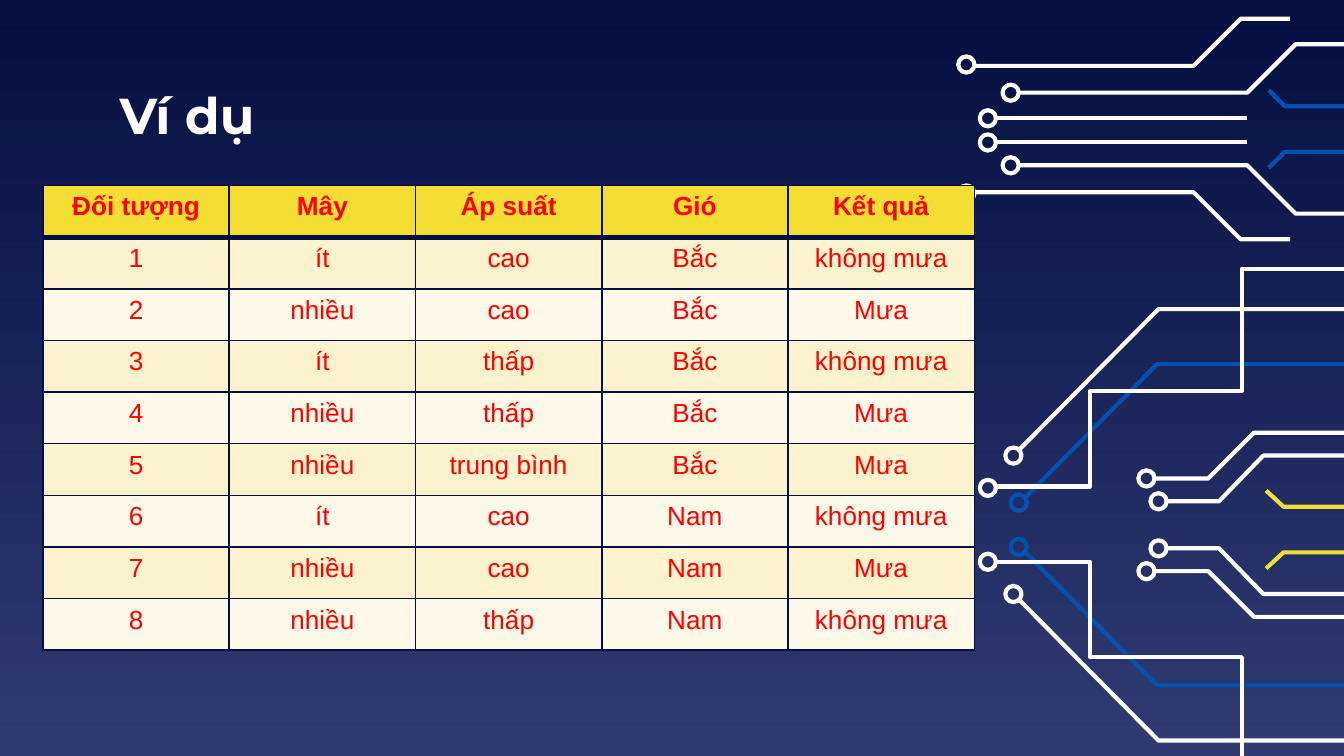
from lxml.etree import SubElement
from pptx import Presentation
from pptx.dml.color import RGBColor
from pptx.enum.shapes import MSO_SHAPE
from pptx.enum.text import MSO_ANCHOR, MSO_AUTO_SIZE, PP_ALIGN
from pptx.oxml.ns import qn
from pptx.util import Inches, Pt

NAVY = RGBColor(0x04, 0x0E, 0x41)
INDIGO = RGBColor(0x30, 0x3B, 0x72)
WHITE = RGBColor(0xFF, 0xFF, 0xFF)
BLUE = RGBColor(0x01, 0x52, 0xB1)
YELLOW = RGBColor(0xF5, 0xDE, 0x34)
CREAM = RGBColor(0xFB, 0xF2, 0xCE)
IVORY = RGBColor(0xFD, 0xF9, 0xE8)
RED = RGBColor(0xFF, 0x00, 0x00)

WIDTH = 10
HEIGHT = WIDTH * 9 / 16
RING = 0.12

# Each trace is drawn twice; its mirror has y = mirror sum - y
TOP, BOTTOM, ACCENT = 1.92, 7.81, 7.88
# Mirror sum, colour, ring centre, points
TRACES = [
    (TOP, WHITE, (7.19, 0.48), [(7.25, 0.49), (8.88, 0.49), (9.23, 0.14), (9.6, 0.14)]),
    (TOP, WHITE, (7.52, 0.69), [(7.58, 0.69), (9.28, 0.69), (9.64, 0.33), (WIDTH, 0.33)]),
    (TOP + 0.02, WHITE, (7.35, 0.88), [(7.41, 0.88), (9.28, 0.88)]),
    (TOP, BLUE, None, [(9.44, 0.67), (9.56, 0.79), (WIDTH, 0.79)]),
    (BOTTOM, BLUE, (7.58, 3.74), [(7.62, 3.71), (8.61, 2.71), (WIDTH, 2.71)]),
    (BOTTOM, WHITE, (7.54, 3.39), [(7.58, 3.35), (8.62, 2.3), (WIDTH, 2.3)]),
    (BOTTOM, WHITE, (8.53, 3.56), [(8.59, 3.56), (8.99, 3.56), (9.33, 3.22), (WIDTH, 3.22)]),
    (BOTTOM, WHITE, (8.62, 3.73), [(8.68, 3.73), (9.07, 3.73), (9.4, 3.39), (WIDTH, 3.39)]),
    (ACCENT, YELLOW, None, [(9.42, 3.65), (9.55, 3.77), (WIDTH, 3.77)]),
]
# The stepped traces leave the slide at different edges
STEPS = [
    ((7.35, 3.63), [(7.41, 3.62), (8.11, 3.62), (8.11, 2.91), (9.24, 2.91), (9.24, 2), (WIDTH, 2)]),
    ((7.35, 4.18), [(7.41, 4.18), (8.11, 4.18), (8.11, 4.89), (9.24, 4.89), (9.24, HEIGHT)]),
]

ROWS = [
    ("Đối tượng", "Mây", "Áp suất", "Gió", "Kết quả"),
    ("1", "ít", "cao", "Bắc", "không mưa"),
    ("2", "nhiều", "cao", "Bắc", "Mưa"),
    ("3", "ít", "thấp", "Bắc", "không mưa"),
    ("4", "nhiều", "thấp", "Bắc", "Mưa"),
    ("5", "nhiều", "trung bình", "Bắc", "Mưa"),
    ("6", "ít", "cao", "Nam", "không mưa"),
    ("7", "nhiều", "cao", "Nam", "Mưa"),
    ("8", "nhiều", "thấp", "Nam", "không mưa"),
]


def set_background(s):
    fill = s.background.fill
    fill.gradient()
    fill.gradient_angle = 270
    for stop, color in zip(fill.gradient_stops, (NAVY, INDIGO)):
        stop.color.rgb = color


def outline(sp, color):
    sp.shadow.inherit = False
    sp.fill.background()
    sp.line.color.rgb = color
    sp.line.width = Pt(2.25)


def add_trace(s, color, ring, points):
    start, *rest = [(Inches(x), Inches(y)) for x, y in points]
    builder = s.shapes.build_freeform(*start)
    builder.add_line_segments(rest, close=False)
    outline(builder.convert_to_shape(), color)
    if ring:
        x, y = ring
        sp = s.shapes.add_shape(MSO_SHAPE.OVAL, Inches(x - RING / 2), Inches(y - RING / 2),
                                Inches(RING), Inches(RING))
        outline(sp, color)


def mirrored(total, points):
    return [(x, total - y) for x, y in points]


def format_run(r, font, size, color, bold):
    r.font.name, r.font.size, r.font.bold = font, Pt(size), bold
    r.font.color.rgb = color


def add_title(s, text):
    sp = s.shapes.title
    sp.left, sp.top, sp.width, sp.height = Inches(0.79), Inches(0.59), Inches(5.87), Inches(0.52)
    tf = sp.text_frame
    tf.text = text
    tf.auto_size = MSO_AUTO_SIZE.NONE
    tf.vertical_anchor = MSO_ANCHOR.MIDDLE
    p = tf.paragraphs[0]
    p.alignment = PP_ALIGN.LEFT
    format_run(p.runs[0], "Montserrat", 27, WHITE, True)


def set_border(cell, side, points):
    ln = SubElement(cell._tc.get_or_add_tcPr(), qn(f"a:ln{side}"), w=str(Pt(points)))
    SubElement(SubElement(ln, qn("a:solidFill")), qn("a:srgbClr"), val=str(NAVY))


def add_weather_table(s):
    frame = s.shapes.add_table(len(ROWS), len(ROWS[0]), Inches(0.32), Inches(1.38),
                               Inches(6.93), Inches(3.46))
    for i, row in enumerate(ROWS):
        header = i == 0
        for j, text in enumerate(row):
            cell = frame.table.cell(i, j)
            # Thick rule between header and body
            widths = {"L": 1, "R": 1, "T": 3 if i == 1 else 1, "B": 3 if header else 1}
            for side, points in widths.items():
                set_border(cell, side, points)
            cell.fill.solid()
            cell.fill.fore_color.rgb = YELLOW if header else CREAM if i % 2 else IVORY
            cell.text_frame.text = text
            p = cell.text_frame.paragraphs[0]
            p.alignment = PP_ALIGN.CENTER
            format_run(p.runs[0], "Arial", 14, RED, header)


def main():
    prs = Presentation()
    prs.slide_width, prs.slide_height = Inches(WIDTH), Inches(HEIGHT)
    s = prs.slides.add_slide(prs.slide_layouts[5])
    set_background(s)
    add_title(s, "Ví dụ")

    # Circuit decoration
    for total, color, ring, points in TRACES:
        add_trace(s, color, ring, points)
        mirror_ring = mirrored(total, [ring])[0] if ring else None
        add_trace(s, color, mirror_ring, mirrored(total, points))
    for ring, points in STEPS:
        add_trace(s, WHITE, ring, points)

    add_weather_table(s)
    prs.save("out.pptx")


if __name__ == "__main__":
    main()
